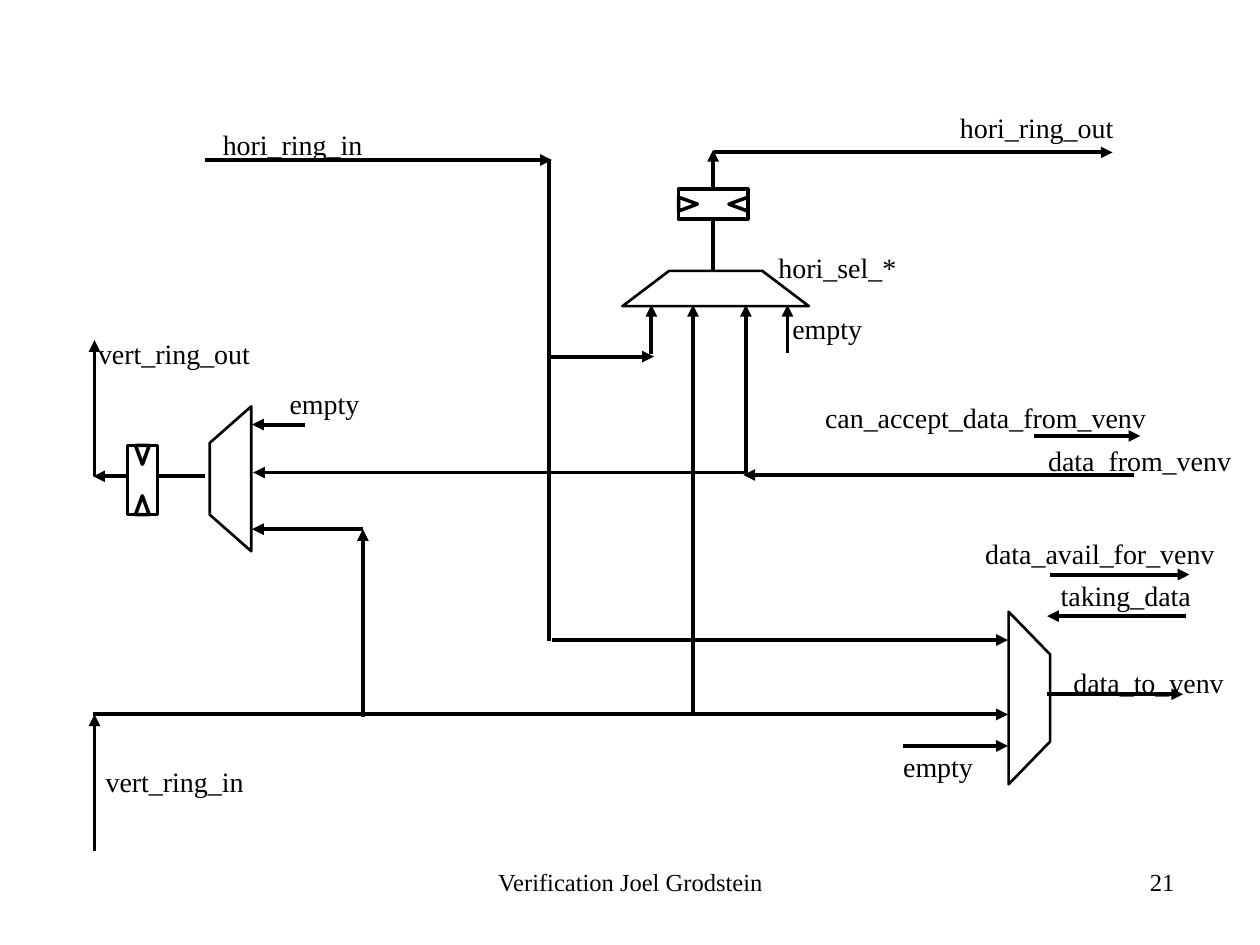
from math import cos, radians, sin
from lxml import etree
from pptx import Presentation, util as u
from pptx.dml.color import RGBColor
from pptx.enum import shapes, text
from pptx.oxml.ns import qn


def cm(inch):
    return u.Cm(inch * 2.54)


def color(code):
    return RGBColor.from_string(code)


def write(frame, words, size=16, font="Times New Roman", ink="000000",
          align=text.PP_ALIGN.LEFT, wrap=True):
    frame.word_wrap = wrap
    para = frame.paragraphs[0]
    para.alignment = align
    run = para.add_run()
    run.text = words
    run.font.size = u.Pt(size)
    run.font.name = font
    run.font.color.rgb = color(ink)


class Sketch:
    ink, paper = "000000", "FFFFFF"

    def __init__(self, slide):
        self.slide = slide
        self.shapes = slide.shapes

    def label(self, words, x, y, w, h=0.37, **style):
        box = self.shapes.add_textbox(cm(x), cm(y), cm(w), cm(h))
        write(box.text_frame, words, **style)

    def wire(self, x1, y1, x2, y2, arrow=True):
        line = self.shapes.add_connector(
            shapes.MSO_CONNECTOR.STRAIGHT, cm(x1), cm(y1), cm(x2), cm(y2))
        line.line.width = u.Pt(2.25)
        line.line.color.rgb = color(self.ink)
        if arrow:
            etree.SubElement(line.line._get_or_add_ln(), qn("a:tailEnd"), type="triangle")
        etree.SubElement(line._element.spPr, qn("a:effectLst"))

    def style(self, shape, width, fill=None):
        shape.shadow.inherit = False
        shape.line.width = u.Pt(width)
        shape.line.color.rgb = color(self.ink)
        if fill:
            shape.fill.solid()
            shape.fill.fore_color.rgb = color(fill)
        else:
            shape.fill.background()

    def mux(self, x, y, wide, narrow, depth, turn):
        """Trapezoid centred on x, y; at turn 0 its narrow side is on top."""
        c, s = cos(radians(turn)), sin(radians(turn))
        ends = [(-wide, depth), (-narrow, -depth), (narrow, -depth), (wide, depth)]
        pts = [(cm(x + (a * c - b * s) / 2), cm(y + (a * s + b * c) / 2))
               for a, b in ends]
        path = self.shapes.build_freeform(*pts[0], scale=1.0)
        path.add_line_segments(pts[1:], close=True)
        self.style(path.convert_to_shape(), 1.5)

    def latch(self, x, y, turn):
        """Register box with two clock marks that point inward."""
        group = self.shapes.add_group_shape()
        kind = shapes.MSO_SHAPE
        c, s = cos(radians(turn)), sin(radians(turn))
        for form, off, w, h, spin, fill in (
                (kind.RECTANGLE, 0, 0.55, 0.24, 0, self.paper),
                (kind.ISOSCELES_TRIANGLE, 0.2, 0.11, 0.15, 270, None),
                (kind.ISOSCELES_TRIANGLE, -0.2, 0.11, 0.15, 90, None)):
            part = group.shapes.add_shape(
                form, cm(x + off * c - w / 2), cm(y + off * s - h / 2), cm(w), cm(h))
            part.rotation = (spin + turn) % 360
            self.style(part, 2, fill)


deck = Presentation()
deck.slide_width, deck.slide_height = cm(10), cm(7.5)
art = Sketch(deck.slides.add_slide(deck.slide_layouts[6]))

# Wires with an arrow at the end
for ends in (
        # Horizontal ring
        (1.63, 1.27, 4.38, 1.27), (5.66, 2.15, 5.66, 1.19), (5.67, 1.21, 8.83, 1.21),
        (4.36, 2.83, 5.19, 2.83), (5.17, 2.81, 5.17, 2.42), (5.5, 5.67, 5.5, 2.42),
        (5.92, 3.75, 5.92, 2.42), (6.25, 2.8, 6.25, 2.42), (4.38, 5.08, 8, 5.08),
        # Vertical ring
        (0.75, 6.75, 0.75, 5.67), (0.74, 5.67, 8, 5.67), (2.88, 5.69, 2.88, 4.2),
        (2.88, 4.2, 2, 4.2), (5.93, 3.75, 2.01, 3.75), (2.42, 3.37, 2, 3.37),
        (1.63, 3.78, 0.74, 3.78), (0.75, 3.78, 0.75, 2.7),
        # Venv side
        (8.21, 3.46, 9.05, 3.46), (9, 3.77, 5.9, 3.77), (8.33, 4.56, 9.44, 4.56),
        (9.41, 4.89, 8.31, 4.89), (8.31, 5.51, 9.39, 5.51), (7.17, 5.92, 8, 5.92)):
    art.wire(*ends)
art.wire(4.36, 1.27, 4.36, 5.09, arrow=False)

# Muxes and latches
art.mux(5.68, 2.29, 1.48, 0.74, 0.28, 0)
art.mux(1.83, 3.8, 1.15, 0.57, 0.33, 270)
art.mux(8.17, 5.54, 1.37, 0.69, 0.33, 90)
art.latch(5.66, 1.62, 0)
art.latch(1.13, 3.81, 90)

# Signal names
for words, x, y, w in (
        ("hori_ring_out", 7.52, 0.83, 1.56), ("hori_sel_*", 6.08, 1.94, 1.22),
        ("empty", 6.19, 2.42, 0.94), ("empty", 2.2, 3.02, 0.87),
        ("empty", 7.07, 5.9, 0.84), ("can_accept_data_from_venv", 6.45, 3.13, 2.8),
        ("data_from_venv", 8.22, 3.47, 1.7), ("data_avail_for_venv", 7.72, 4.21, 2.08),
        ("taking_data", 8.32, 4.54, 1.3)):
    art.label(words, x, y, w)
for words, x, y, w in (
        ("hori_ring_in", 1.67, 0.96, 1.33), ("vert_ring_out", 0.68, 2.62, 1.43),
        ("vert_ring_in", 0.74, 6.02, 1.32), ("data_to_venv", 8.42, 5.23, 1.41)):
    art.label(words, x, y, w, wrap=False)

# Footer
art.label("Verification Joel Grodstein", 3.42, 6.83, 3.17, 0.5, size=14,
          align=text.PP_ALIGN.CENTER)
art.label("21", 6.25, 6.83, 3.17, 0.5, size=14, align=text.PP_ALIGN.RIGHT)

deck.save("out.pptx")
